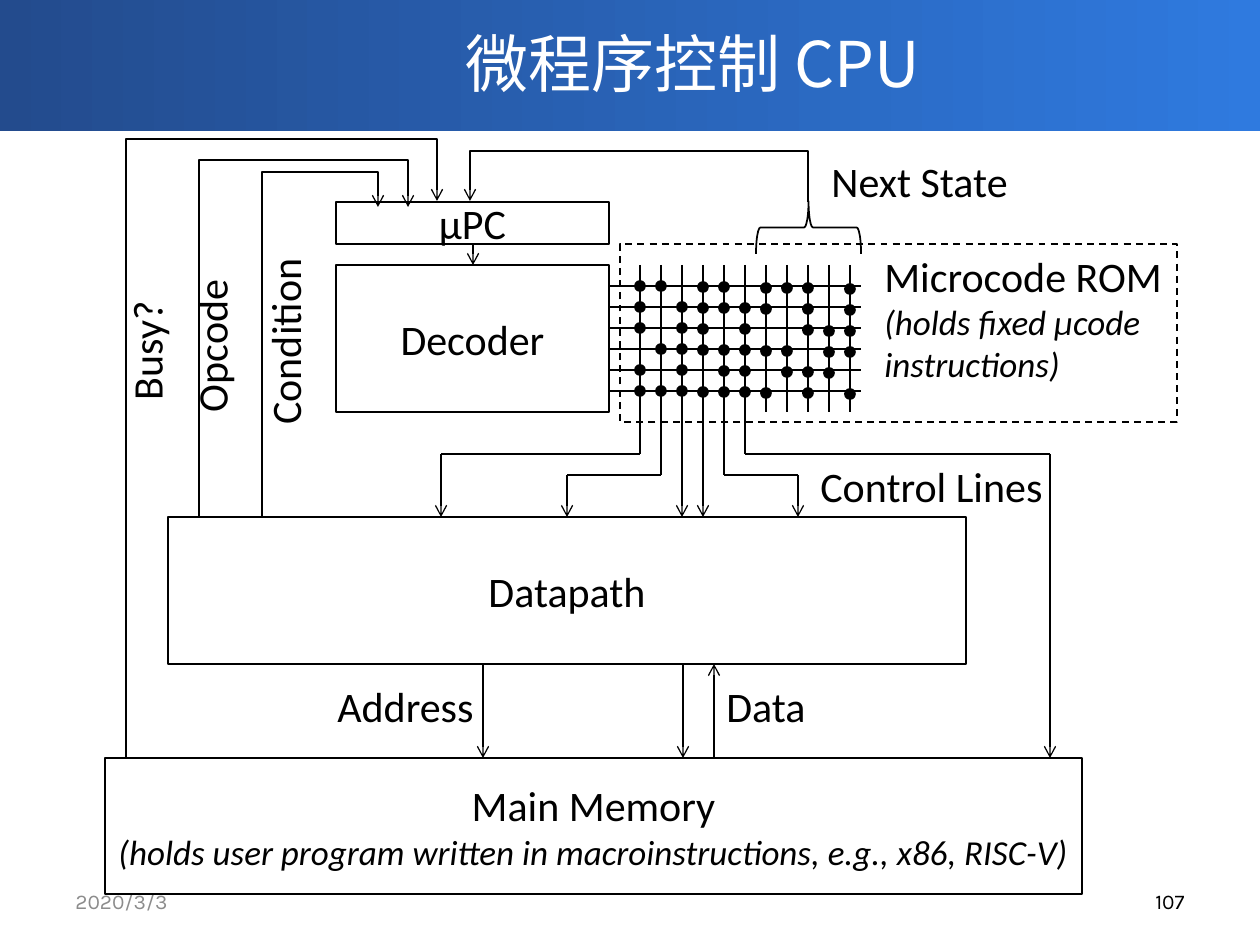
from lxml.etree import SubElement
from pptx import Presentation
from pptx.dml.color import RGBColor
from pptx.enum.dml import MSO_LINE
from pptx.enum.shapes import MSO_CONNECTOR, MSO_SHAPE
from pptx.enum.text import MSO_ANCHOR, MSO_AUTO_SIZE, PP_ALIGN
from pptx.oxml.ns import qn
from pptx.util import Pt

EMU_PER_PX = 914400 / 126
COLORS = {"ink": "000000", "white": "FFFFFF", "date": "8C8C8C",
          "band_left": "234B8D", "band_right": "2F7ADF"}
BODY_FONT, TITLE_FONT, FOOTER_FONT = "Calibri", "Noto Sans CJK SC", "Karla"

# Microcode grid: one string per row, one mark per column
MICROCODE = ["XX.XX.XXX.X",
             "X.XXXXX.X.X",
             "X.XX.X..XXX",
             ".XXXXXXX.XX",
             "X.X.XX.XXX.",
             "XXXXXXX.X.X"]
GRID_LEFT, GRID_TOP, GRID_STEP = 640, 286, 21
DOT_SIZE = 10
# Lower ends of the grid columns; the remaining ones stop inside the ROM
COLUMN_ENDS = [454, 475, 517, 517, 475, 454] + [412] * 5


def px(value):
    return round(value * EMU_PER_PX)


def color(name):
    return RGBColor.from_string(COLORS[name])


def style_line(shape, width=0.75, arrow=False):
    shape.line.color.rgb = color("ink")
    shape.line.width = Pt(width)
    if arrow:
        SubElement(shape.line._get_or_add_ln(), qn("a:tailEnd"), type="arrow")


def write_text(shape, lines, size=24, font=BODY_FONT, ink="ink",
               align=PP_ALIGN.LEFT, anchor=MSO_ANCHOR.TOP):
    """Write the lines; any line after the first is a smaller italic note."""
    frame = shape.text_frame
    frame.text = "\n".join(lines)
    frame.vertical_anchor = anchor
    for index, paragraph in enumerate(frame.paragraphs):
        paragraph.alignment = align
        for run in paragraph.runs:
            run.font.name = font
            run.font.size = Pt(20 if index else size)
            run.font.italic = index > 0
            run.font.color.rgb = color(ink)
            if font == TITLE_FONT:
                SubElement(run.font._element, qn("a:ea"), typeface=font)


def add_label(slide, left, top, width, height, *lines, wrap=False, rotation=0,
              **text_style):
    label = slide.shapes.add_textbox(px(left), px(top), px(width), px(height))
    label.rotation = rotation
    label.text_frame.word_wrap = wrap
    label.text_frame.auto_size = (MSO_AUTO_SIZE.NONE if "font" in text_style
                                  else MSO_AUTO_SIZE.SHAPE_TO_FIT_TEXT)
    write_text(label, lines, **text_style)


def add_outline(slide, kind, left, top, width, height):
    shape = slide.shapes.add_shape(kind, px(left), px(top), px(width), px(height))
    shape.shadow.inherit = False
    shape.fill.background()
    style_line(shape, 1)
    return shape


def add_box(slide, left, top, width, height, *lines):
    box = add_outline(slide, MSO_SHAPE.RECTANGLE, left, top, width, height)
    box.text_frame.word_wrap = True
    write_text(box, lines, align=PP_ALIGN.CENTER, anchor=MSO_ANCHOR.MIDDLE)


def add_line(slide, x1, y1, x2, y2, arrow=False):
    line = slide.shapes.add_connector(MSO_CONNECTOR.STRAIGHT,
                                      px(x1), px(y1), px(x2), px(y2))
    SubElement(line._element.spPr, qn("a:effectLst"))
    style_line(line, arrow=arrow)


def add_feedback(slide, *points):
    """Draw a bent arrow through the points."""
    builder = slide.shapes.build_freeform(*points[0], scale=EMU_PER_PX)
    builder.add_line_segments(points[1:], close=False)
    path_shape = builder.convert_to_shape()
    path_shape.shadow.inherit = False
    path_shape.fill.background()
    style_line(path_shape, arrow=True)


def add_header(slide):
    band = add_outline(slide, MSO_SHAPE.RECTANGLE, 0, -4, 1260, 135)
    band.line.fill.background()
    band.fill.gradient()
    band.fill.gradient_angle = 0
    for stop, name in zip(band.fill.gradient_stops, ("band_left", "band_right")):
        stop.color.rgb = color(name)
    add_label(slide, 126, 0, 1134, 125, "微程序控制 CPU", wrap=True, size=36,
              font=TITLE_FONT, ink="white", align=PP_ALIGN.CENTER,
              anchor=MSO_ANCHOR.MIDDLE)


def add_footer(slide):
    for left, text, ink, align in ((63, "2020/3/3", "date", PP_ALIGN.LEFT),
                                   (903, "107", "ink", PP_ALIGN.RIGHT)):
        add_label(slide, left, 876, 294, 50, text, wrap=True, size=12,
                  font=FOOTER_FONT, ink=ink, align=align,
                  anchor=MSO_ANCHOR.MIDDLE)


def add_microcode_rom(slide):
    for row in range(len(MICROCODE)):
        y = GRID_TOP + row * GRID_STEP
        add_line(slide, 609, y, 861, y)
    for column, end in enumerate(COLUMN_ENDS):
        x = GRID_LEFT + column * GRID_STEP
        add_line(slide, x, 265, x, end, arrow=end == 517)
    for row, marks in enumerate(MICROCODE):
        for column, mark in enumerate(marks):
            if mark == "X":
                # The dots sink slightly from left to right
                dot = add_outline(
                    slide, MSO_SHAPE.OVAL,
                    GRID_LEFT + column * GRID_STEP - DOT_SIZE // 2,
                    GRID_TOP + row * GRID_STEP - DOT_SIZE // 2 + column // 3,
                    DOT_SIZE, DOT_SIZE)
                dot.fill.solid()
                dot.fill.fore_color.rgb = color("ink")
    frame = add_outline(slide, MSO_SHAPE.RECTANGLE, 620, 244, 557, 178)
    frame.line.dash_style = MSO_LINE.DASH
    add_label(slide, 872, 244, 305, 149, "Microcode ROM",
              "(holds fixed µcode instructions)", wrap=True)


def add_wiring(slide):
    # Control lines leaving the ROM: column, turning height, target x, end
    for column, y, target, end in ((0, 454, 441, 517), (1, 475, 567, 517),
                                   (4, 475, 798, 517), (5, 454, 1050, 758)):
        add_line(slide, GRID_LEFT + column * GRID_STEP, y, target, y)
        add_line(slide, target, y, target, end, arrow=True)
    # Address and data, then µPC to decoder
    for x, start, end in ((483, 664, 758), (683, 664, 758), (714, 758, 664),
                          (473, 244, 265)):
        add_line(slide, x, start, x, end, arrow=True)
    # Inputs of the µPC: next state, condition, opcode, busy
    for x1, y1, top, x2, y2 in ((808, 202, 151, 470, 201),
                                (262, 517, 172, 378, 207),
                                (199, 517, 160, 408, 207),
                                (126, 758, 139, 437, 201)):
        add_feedback(slide, (x1, y1), (x1, top), (x2, top), (x2, y2))
    brace = add_outline(slide, MSO_SHAPE.LEFT_BRACE, 782, 175, 53, 105)
    brace.rotation = 90


def main():
    presentation = Presentation()
    presentation.slide_width, presentation.slide_height = px(1260), px(945)
    slide = presentation.slides.add_slide(presentation.slide_layouts[6])
    add_header(slide)
    add_footer(slide)

    # Blocks
    add_box(slide, 168, 517, 798, 147, "Datapath")
    add_box(slide, 105, 758, 977, 136, "Main Memory",
            "(holds user program written in macroinstructions, e.g., x86, RISC-V)")
    add_box(slide, 336, 265, 273, 147, "Decoder")
    add_box(slide, 336, 202, 273, 42, "µPC")
    add_microcode_rom(slide)
    add_wiring(slide)

    # Signal names
    for left, top, width, text, rotation in (
            (325, 674, 164, "Address", 0), (714, 674, 106, "Data", 0),
            (819, 149, 205, "Next State", 0), (808, 454, 251, "Control Lines", 0),
            (131, 313, 160, "Opcode", 270), (188, 309, 193, "Condition", 270),
            (83, 318, 126, "Busy?", 270)):
        add_label(slide, left, top, width, 63, text, rotation=rotation)
    presentation.save("out.pptx")


if __name__ == "__main__":
    main()
